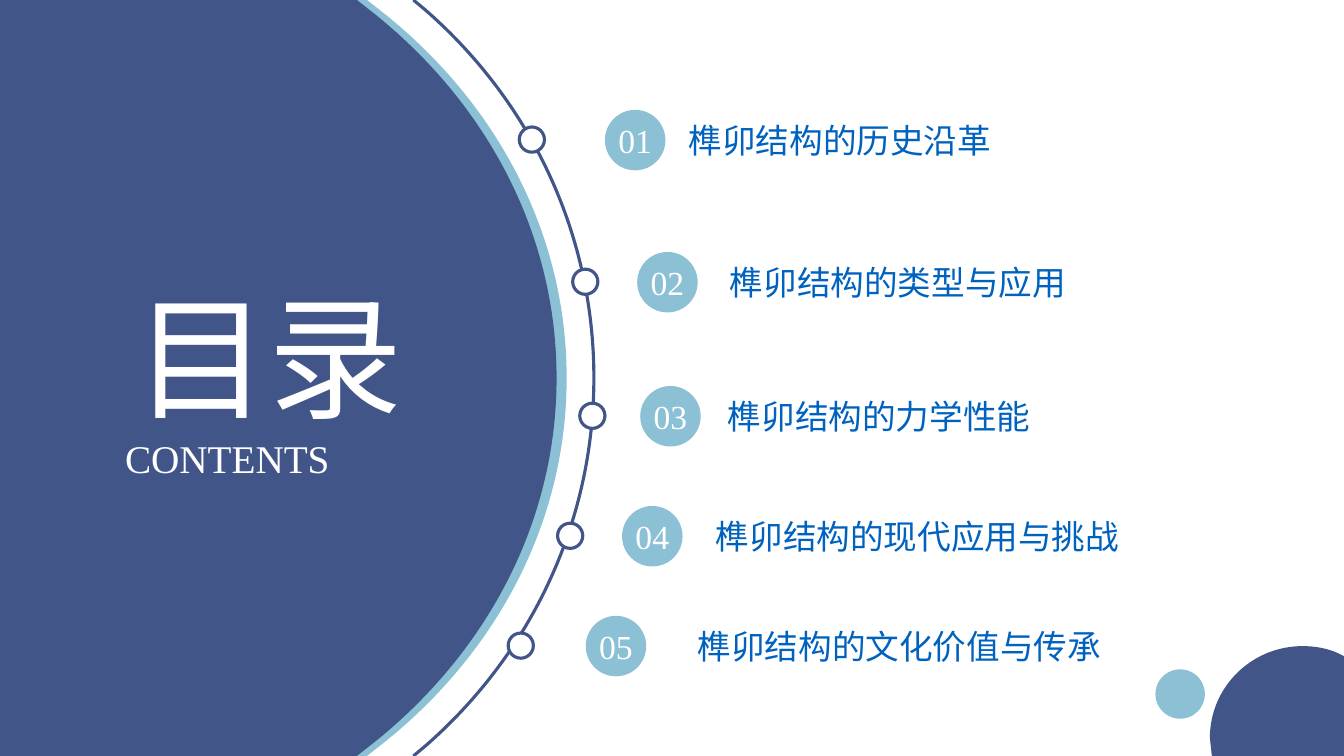
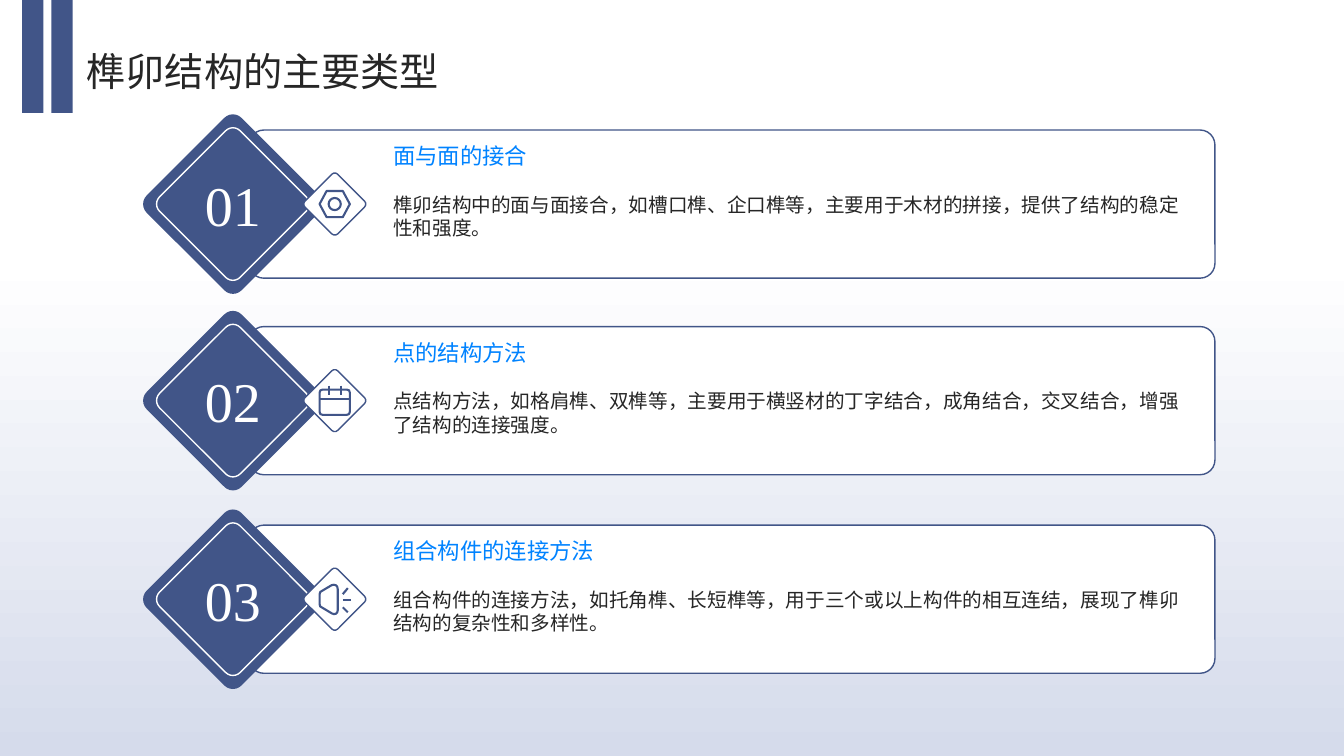
from dataclasses import dataclass
from typing import Callable, Optional, Union

from lxml import etree
from pptx import Presentation
from pptx import util as u
from pptx.dml.color import RGBColor
from pptx.enum import shapes, text
from pptx.oxml.ns import qn

NAVY, SKY, WHITE, INK = "415588", "8CC0D5", "FFFFFF", "262626"
LABEL_BLUE, HEADING_BLUE, MIST = "0062BF", "0083FF", "D5DBEB"
FONT = "Times New Roman"
WIDTH, HEIGHT = 13.33, 7.5
LEFT, CENTER = text.PP_ALIGN.LEFT, text.PP_ALIGN.CENTER
TOP, MIDDLE = text.MSO_ANCHOR.TOP, text.MSO_ANCHOR.MIDDLE
PRESET = shapes.MSO_SHAPE
Point = tuple[float, float]


@dataclass
class Curve:
    leave: Point
    arrive: Point
    end: Point


@dataclass
class Contour:
    start: Point
    steps: list[Union[Point, Curve]]
    closed: bool = True


@dataclass
class Chapter:
    title: str
    mid: float
    node_x: float
    badge_x: float
    title_x: float


@dataclass
class JointType:
    heading: str
    body: str
    top: float
    icon: Callable[[], list[Contour]]


CHAPTERS = [
    Chapter("榫卯结构的历史沿革", 1.39, 5.15, 6, 6.83),
    Chapter("榫卯结构的类型与应用", 2.8, 5.68, 6.32, 7.24),
    Chapter("榫卯结构的力学性能", 4.13, 5.75, 6.35, 7.22),
    Chapter("榫卯结构的现代应用与挑战", 5.32, 5.53, 6.17, 7.1),
    Chapter("榫卯结构的文化价值与传承", 6.41, 5.04, 5.81, 6.92),
]


def rgb(color: str) -> RGBColor:
    return RGBColor.from_string(color)


def paint(shape, fill: Optional[str], line: Optional[str] = None, width: float = 1) -> None:
    shape.shadow.inherit = False
    if fill:
        shape.fill.solid()
        shape.fill.fore_color.rgb = rgb(fill)
    else:
        shape.fill.background()
    if line:
        shape.line.color.rgb = rgb(line)
        shape.line.width = u.Pt(width)
    else:
        shape.line.fill.background()


def write(shape, words: str, size: float, color: str, align=LEFT, anchor=TOP) -> None:
    frame = shape.text_frame
    frame_format = {"word_wrap": True, "vertical_anchor": anchor, "margin_left": 0,
                    "margin_right": 0, "margin_top": 0, "margin_bottom": 0}
    for name, value in frame_format.items():
        setattr(frame, name, value)
    paragraph = frame.paragraphs[0]
    paragraph.alignment = align
    run = paragraph.add_run()
    run.text = words
    for name, value in {"name": FONT, "size": u.Pt(size), "bold": False}.items():
        setattr(run.font, name, value)
    run.font.color.rgb = rgb(color)


def add_preset(slide, preset, x: float, y: float, w: float, h: float, fill: Optional[str],
               line: Optional[str] = None, width: float = 1,
               corner: Optional[float] = None, turn: float = 0):
    shape = slide.shapes.add_shape(preset, u.Inches(x), u.Inches(y), u.Inches(w), u.Inches(h))
    if corner is not None:
        shape.adjustments[0] = corner
    shape.rotation = turn
    paint(shape, fill, line, width)
    return shape


def add_words(slide, x: float, y: float, w: float, h: float, words: str, size: float,
              color: str, align=LEFT, anchor=TOP) -> None:
    box = slide.shapes.add_textbox(u.Inches(x), u.Inches(y), u.Inches(w), u.Inches(h))
    write(box, words, size, color, align, anchor)


def add_outline(slide, contours: list[Contour], fill: Optional[str],
                line: Optional[str] = None, width: float = 1, origin: Point = (0, 0)) -> None:
    def place(point: Point) -> tuple[int, int]:
        return u.Inches(origin[0] + point[0]), u.Inches(origin[1] + point[1])

    builder = slide.shapes.build_freeform(*place(contours[0].start), scale=1.0)
    for index, contour in enumerate(contours):
        if index:
            builder.move_to(*place(contour.start))
        corners = []
        for step in contour.steps:
            curved = isinstance(step, Curve)
            corners += [step.leave, step.arrive, step.end] if curved else [step]
        builder.add_line_segments([place(corner) for corner in corners], close=contour.closed)
    outline = builder.convert_to_shape()
    segments = iter(list(outline._element.iter(qn("a:lnTo"))))
    for step in (step for contour in contours for step in contour.steps):
        segment = next(segments)
        if isinstance(step, Curve):
            segment.addprevious(bend := etree.Element(qn("a:cubicBezTo")))
            for part in (segment, next(segments), next(segments)):
                bend.append(part[0])
                part.getparent().remove(part)
    paint(outline, fill, line, width)


def side_arc(right: float, shoulder: Point, pull_x: float, pull_y: Point) -> list[Curve]:
    middle = HEIGHT / 2
    x, y = shoulder
    return [Curve((pull_x, pull_y[0]), (right, pull_y[1]), (right, middle)),
            Curve((right, HEIGHT - pull_y[1]), (pull_x, HEIGHT - pull_y[0]), (x, HEIGHT - y))]


def ring(radius: float) -> Contour:
    r, k = radius, radius * 0.55
    return Contour((r, 0), [Curve((r, k), (k, r), (0, r)), Curve((-k, r), (-r, k), (-r, 0)),
                            Curve((-r, -k), (-k, -r), (0, -r)),
                            Curve((k, -r), (r, -k), (r, 0))])


def nut_icon() -> list[Contour]:
    hexagon = [(-0.08, 0.13), (0.08, 0.13), (0.15, 0), (0.08, -0.13), (-0.08, -0.13)]
    return [Contour((-0.15, 0), hexagon), ring(0.06)]


def calendar_icon() -> list[Contour]:
    page = Contour((-0.12, -0.11), [
        (0.12, -0.11), Curve((0.14, -0.11), (0.15, -0.1), (0.15, -0.08)),
        (0.15, 0.11), Curve((0.15, 0.13), (0.14, 0.14), (0.12, 0.14)),
        (-0.12, 0.14), Curve((-0.14, 0.14), (-0.15, 0.13), (-0.15, 0.11)),
        (-0.15, -0.08), Curve((-0.15, -0.1), (-0.14, -0.11), (-0.12, -0.11))])
    ticks = [Contour((x, -0.15), [(x, -0.06)], False) for x in (-0.06, 0.06)]
    return [page, Contour((-0.15, -0.02), [(0.15, -0.02)], False), *ticks]


def speaker_icon() -> list[Contour]:
    cone = Contour((-0.13, -0.08), [
        (-0.03, -0.14), Curve((0, -0.15), (0.03, -0.14), (0.03, -0.1)),
        (0.03, 0.11), Curve((0.03, 0.14), (0, 0.16), (-0.03, 0.14)),
        (-0.13, 0.08), Curve((-0.14, 0.08), (-0.15, 0.07), (-0.15, 0.05)),
        (-0.15, -0.05), Curve((-0.15, -0.07), (-0.14, -0.08), (-0.13, -0.08))])
    rays = [Contour((0.08, near), [(x, far)], False)
            for x, near, far in ((0.13, -0.05, -0.11), (0.16, 0.01, 0.01), (0.13, 0.08, 0.13))]
    return [cone, *rays]


JOINT_TYPES = [
    JointType("面与面的接合",
              "榫卯结构中的面与面接合，如槽口榫、企口榫等，主要用于木材的拼接，提供了结构的稳定性和强度。",
              1.29, nut_icon),
    JointType("点的结构方法",
              "点结构方法，如格肩榫、双榫等，主要用于横竖材的丁字结合，成角结合，交叉结合，增强了结构的连接强度。",
              3.24, calendar_icon),
    JointType("组合构件的连接方法",
              "组合构件的连接方法，如托角榫、长短榫等，用于三个或以上构件的相互连结，展现了榫卯结构的复杂性和多样性。",
              5.21, speaker_icon),
]


def add_backdrop(slide) -> None:
    fill = add_preset(slide, PRESET.RECTANGLE, 0, 0, WIDTH, HEIGHT, WHITE).fill
    fill.gradient()
    fill.gradient_angle = 90
    for stop, color, position in zip(fill.gradient_stops, (MIST, WHITE), (0, 0.66)):
        stop.color.rgb = rgb(color)
        stop.position = position


def add_chapter(slide, number: int, chapter: Chapter) -> None:
    add_preset(slide, PRESET.OVAL, chapter.node_x, chapter.mid - 0.13, 0.25, 0.25,
               WHITE, NAVY, 2.25)
    badge = add_preset(slide, PRESET.OVAL, chapter.badge_x, chapter.mid - 0.3, 0.6, 0.6, SKY)
    write(badge, f"{number:02}", 24, WHITE, CENTER, MIDDLE)
    add_words(slide, chapter.title_x, chapter.mid - 0.62, 4.56, 1.23, chapter.title, 24,
              LABEL_BLUE, anchor=MIDDLE)


def add_diamond(slide, cx: float, cy: float, side: float, fill: str,
                line: Optional[str] = None) -> None:
    add_preset(slide, PRESET.ROUNDED_RECTANGLE, cx - side / 2, cy - side / 2, side, side,
               fill, line, corner=0.09, turn=45)


def add_joint_type(slide, number: int, joint: JointType) -> None:
    height, number_x, icon_x = 1.47, 2.31, 3.32
    mid = joint.top + height / 2
    add_preset(slide, PRESET.ROUNDED_RECTANGLE, 2.47, joint.top, 9.58, height, WHITE, NAVY,
               corner=0.1)
    add_words(slide, 3.9, joint.top + 0.62, 7.83, 0.65, joint.body, 14, INK)
    add_diamond(slide, number_x, mid, 1.33, NAVY)
    add_diamond(slide, number_x, mid, 1.13, NAVY, WHITE)
    add_diamond(slide, icon_x, mid, 0.46, WHITE, NAVY)
    add_outline(slide, joint.icon(), None, NAVY, 1.5, (icon_x, mid))
    add_words(slide, number_x - 0.49, mid - 0.4, 0.98, 0.79, f"{number:02}", 40, WHITE,
              CENTER, MIDDLE)
    add_words(slide, 3.9, joint.top + 0.12, 7.83, 0.47, joint.heading, 16, HEADING_BLUE)


def build_contents(slide) -> None:
    add_preset(slide, PRESET.RECTANGLE, 0.01, -0.01, 13.32, 7.53, WHITE)
    for right, color in ((5.62, SKY), (5.52, NAVY)):
        shoulder, edge = (right - 1.79, 0.15), right - 1.98
        arc = side_arc(right, shoulder, right - 0.69, (1.04, 2.32))
        disc = Contour((0, 0), [(edge, 0), shoulder, *arc, (edge, HEIGHT), (0, HEIGHT)])
        add_outline(slide, [disc], color)
    orbit_shoulder = (4.22, 0.1)
    orbit = side_arc(5.89, orbit_shoulder, 5.25, (1, 2.3))
    add_outline(slide, [Contour((4.1, 0), [orbit_shoulder, *orbit, (4.1, HEIGHT)], False)],
                None, NAVY, 2.25)
    for number, chapter in enumerate(CHAPTERS, 1):
        add_chapter(slide, number, chapter)
    add_preset(slide, PRESET.OVAL, 11.46, 6.64, 0.49, 0.49, SKY)
    corner_disc = Contour((12.92, 6.41), [
        Curve((13.04, 6.41), (13.16, 6.43), (13.27, 6.48)), (WIDTH, 6.51), (WIDTH, HEIGHT),
        (12.02, HEIGHT), (12, 7.32), Curve((12, 6.82), (12.41, 6.41), (12.92, 6.41))])
    add_outline(slide, [corner_disc], NAVY)
    add_words(slide, 1.32, 2.72, 2.69, 1.62, "目录", 96, WHITE, CENTER)
    add_words(slide, 1.24, 4.31, 2.95, 0.47, "CONTENTS", 28, WHITE, text.PP_ALIGN.JUSTIFY)


def build_joint_types(slide) -> None:
    for number, joint in enumerate(JOINT_TYPES, 1):
        add_joint_type(slide, number, joint)
    add_words(slide, 0.86, 0.45, 11.67, 0.51, "榫卯结构的主要类型", 28, INK, anchor=MIDDLE)
    for band_x in (0.51, 0.22):
        add_preset(slide, PRESET.RECTANGLE, band_x, 0, 0.21, 1.12, NAVY)


def main() -> None:
    deck = Presentation()
    deck.slide_width, deck.slide_height = u.Inches(WIDTH), u.Inches(HEIGHT)
    for build in (build_contents, build_joint_types):
        slide = deck.slides.add_slide(deck.slide_layouts[6])
        add_backdrop(slide)
        build(slide)
    deck.save("out.pptx")


if __name__ == "__main__":
    main()
